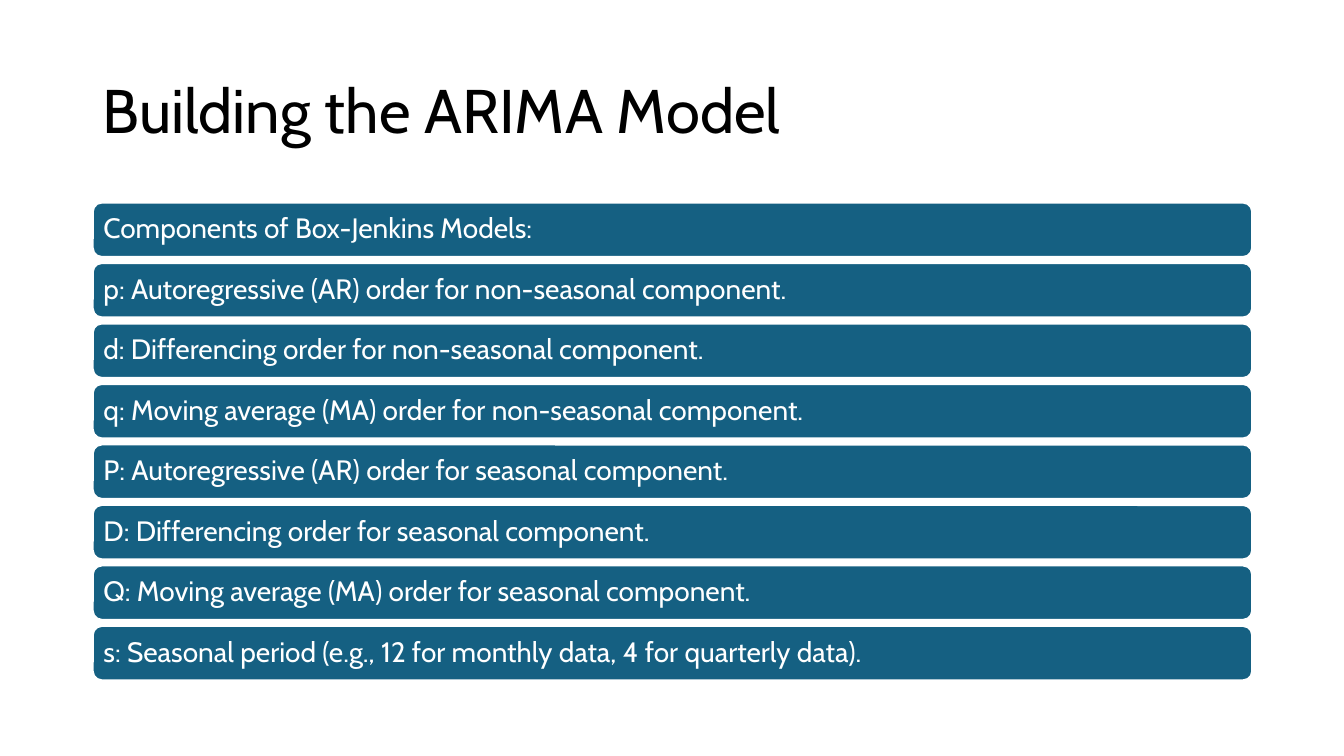
import pptx
import pptx.util
import pptx.dml.color
import pptx.enum.shapes
import pptx.enum.text

Inches = pptx.util.Inches
Pt = pptx.util.Pt
RGBColor = pptx.dml.color.RGBColor

BLACK = RGBColor(0x00, 0x00, 0x00)
WHITE = RGBColor(0xFF, 0xFF, 0xFF)
TEAL = RGBColor(0x15, 0x60, 0x82)
FONT = "Cabin"

TITLE = "Building the ARIMA Model"
TERMS = [
    "Components of Box-Jenkins Models:",
    "p: Autoregressive (AR) order for non-seasonal component.",
    "d: Differencing order for non-seasonal component.",
    "q: Moving average (MA) order for non-seasonal component.",
    "P: Autoregressive (AR) order for seasonal component.",
    "D: Differencing order for seasonal component.",
    "Q: Moving average (MA) order for seasonal component.",
    "s: Seasonal period (e.g., 12 for monthly data, 4 for quarterly data).",
]


def write(shape, text, size, color, inset):
    frame = shape.text_frame
    frame.word_wrap = True
    frame.vertical_anchor = pptx.enum.text.MSO_ANCHOR.MIDDLE
    frame.margin_left = frame.margin_right = Inches(inset)
    frame.margin_top = frame.margin_bottom = Inches(0.05)
    para = frame.paragraphs[0]
    para.alignment = pptx.enum.text.PP_ALIGN.LEFT
    para.line_spacing = 0.9
    run = para.add_run()
    run.text = text
    run.font.name = FONT
    run.font.size = Pt(size)
    run.font.color.rgb = color


def add_title(slide, left, top, width, height):
    box = slide.shapes.add_textbox(
        Inches(left), Inches(top), Inches(width), Inches(height))
    write(box, TITLE, 44, BLACK, 0.1)


def add_bars(slide, left, top, width, height, gap=0.06):
    tall = (height - gap * (len(TERMS) - 1)) / len(TERMS)
    for index, term in enumerate(TERMS):
        bar = slide.shapes.add_shape(
            pptx.enum.shapes.MSO_SHAPE.ROUNDED_RECTANGLE,
            Inches(left), Inches(top + index * (tall + gap)),
            Inches(width), Inches(tall))
        bar.shadow.inherit = False
        bar.fill.solid()
        bar.fill.fore_color.rgb = TEAL
        bar.line.color.rgb = WHITE
        bar.line.width = Pt(1.5)
        write(bar, term, 20, WHITE, 0.08)


def main():
    deck = pptx.Presentation()
    deck.slide_width = Inches(13.33)
    deck.slide_height = Inches(7.5)
    slide = deck.slides.add_slide(deck.slide_layouts[6])
    add_title(slide, 0.92, 0.4, 11.5, 1.45)
    add_bars(slide, 0.92, 2.01, 11.5, 4.74)
    deck.save("out.pptx")


if __name__ == "__main__":
    main()
